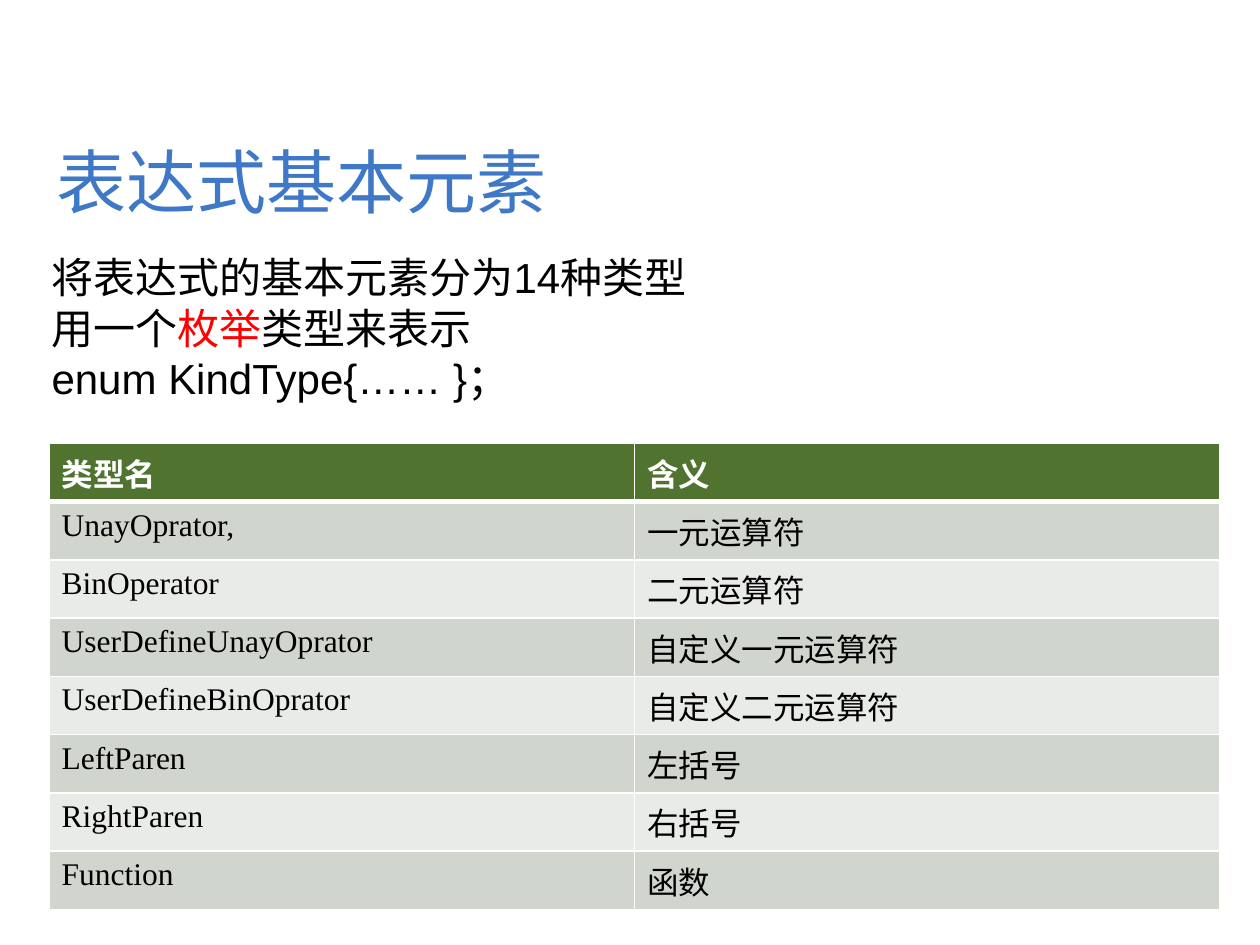
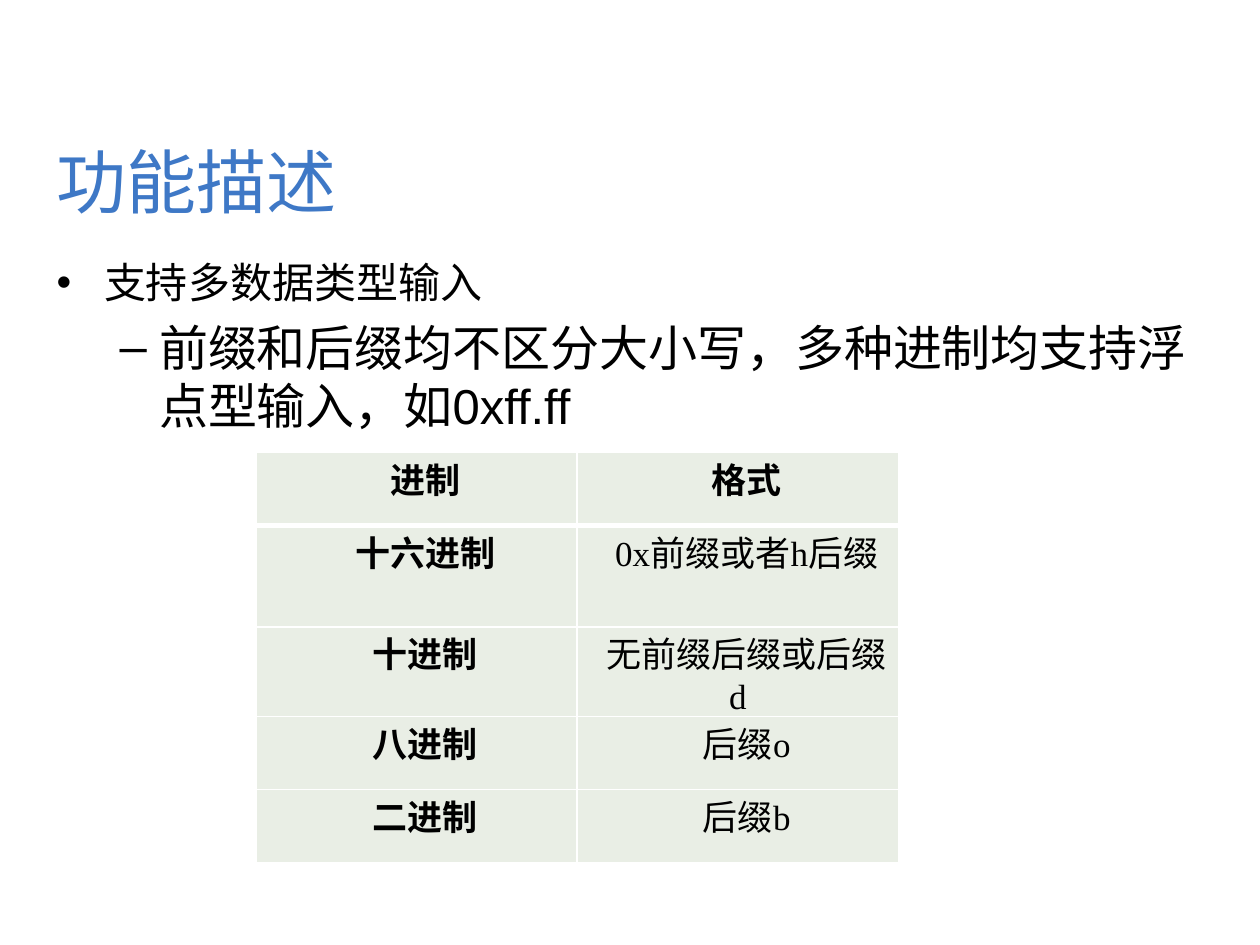
"""Build two slides on expression element types and number input formats."""
import pptx
import pptx.dml.color
import pptx.enum.text
import pptx.oxml
import pptx.oxml.ns
import pptx.util

Cm, Pt = pptx.util.Cm, pptx.util.Pt
PP_ALIGN = pptx.enum.text.PP_ALIGN
RGB = pptx.dml.color.RGBColor.from_string
COLORS = {"title": "3E78C6", "text": "000000", "accent": "FF0000", "white": "FFFFFF",
          "green": "50742F", "odd": "D0D6CD", "even": "E9EBE8"}
NS = pptx.oxml.ns.nsdecls("a")


def set_font(font, size, color="text", name="Arial", bold=False):
    font.size, font.name, font.bold = Pt(size), name, bold
    font.color.rgb = RGB(COLORS[color])


def add_grid(s, rows, left, top, width, heights):
    shape = s.shapes.add_table(len(rows), 2, Cm(left), Cm(top), Cm(width), Cm(sum(heights)))
    table = shape.table
    for i, (row, height) in enumerate(zip(rows, heights)):
        table.rows[i].height = Cm(height)
        for j, text in enumerate(row):
            cell = table.cell(i, j)
            cell.text = text
            cell.fill.solid()
            tcPr = cell._tc.get_or_add_tcPr()
            for k, side in enumerate("LRTB"):
                line = 3 if (i, side) in ((0, "B"), (1, "T")) else 1
                tcPr.insert(k, pptx.oxml.parse_xml(
                    f'<a:ln{side} {NS} w="{Pt(line)}"><a:solidFill>'
                    f'<a:srgbClr val="{COLORS["white"]}"/></a:solidFill></a:ln{side}>'))
    return table


prs = pptx.Presentation()
prs.slide_width, prs.slide_height = Cm(25.4), Cm(19.05)

slides = []
for title, layout in (("表达式基本元素", 5), ("功能描述", 1)):
    s = prs.slides.add_slide(prs.slide_layouts[layout])
    sp = s.shapes.title
    sp.left, sp.top, sp.width, sp.height = Cm(0.89), Cm(2.39), Cm(23.6), Cm(2.49)
    sp.text_frame.text = title
    p = sp.text_frame.paragraphs[0]
    p.alignment = PP_ALIGN.LEFT
    set_font(p.font, 40, "title")
    slides.append(s)
elements, features = slides

kinds = [
    ("类型名", "含义"),
    ("UnayOprator,", "一元运算符"),
    ("BinOperator", "二元运算符"),
    ("UserDefineUnayOprator", "自定义一元运算符"),
    ("UserDefineBinOprator", "自定义二元运算符"),
    ("LeftParen", "左括号"),
    ("RightParen", "右括号"),
    ("Function", "函数"),
]
table = add_grid(elements, kinds, 0.99, 8.94, 23.6, [0.43] + [1.04] * 7)
for i, row in enumerate(table.rows):
    fill = "green" if i == 0 else "odd" if i % 2 else "even"
    for cell in row.cells:
        cell.fill.fore_color.rgb = RGB(COLORS[fill])
        set_font(cell.text_frame.paragraphs[0].font, 18, "text" if i else "white",
                 "Times New Roman", i == 0)

tf = elements.shapes.add_textbox(Cm(0.79), Cm(4.95), Cm(23.01), Cm(4.11)).text_frame
tf.word_wrap = True
intro = [["将表达式的基本元素分为14种类型"], ["用一个", "枚举", "类型来表示"],
         ["enum KindType{…… }；"]]
for i, parts in enumerate(intro):
    p = tf.add_paragraph() if i else tf.paragraphs[0]
    set_font(p.font, 24)
    for part in parts:
        r = p.add_run()
        r.text = part
        set_font(r.font, 24, "accent" if part == "枚举" else "text")

sp = features.placeholders[1]
sp.left, sp.top, sp.width, sp.height = Cm(0.89), Cm(5.05), Cm(23.6), Cm(11.96)
tf = sp.text_frame
tf.auto_size = pptx.enum.text.MSO_AUTO_SIZE.NONE
tf.text = "支持多数据类型输入\n前缀和后缀均不区分大小写，多种进制均支持浮点型输入，如0xff.ff"
for level, (p, size) in enumerate(zip(tf.paragraphs, (24, 28))):
    p.level = level
    set_font(p.font, size)

formats = [
    ("进制", "格式"),
    ("十六进制", "0x前缀或者h后缀"),
    ("十进制", "无前缀后缀或后缀d"),
    ("八进制", "后缀o"),
    ("二进制", "后缀b"),
]
table = add_grid(features, formats, 5.16, 9.12, 12.95, [1.47, 1.73, 1.73, 1.47, 1.47])
for i, row in enumerate(table.rows):
    for j, cell in enumerate(row.cells):
        cell.fill.fore_color.rgb = RGB(COLORS["green"])
        tint = cell._tc.tcPr.find(pptx.oxml.ns.qn("a:solidFill"))[0]
        tint.append(pptx.oxml.parse_xml(f'<a:alpha {NS} val="12000"/>'))
        cell.margin_left = cell.margin_right = Cm(0.18)
        cell.margin_top = cell.margin_bottom = 0
        p = cell.text_frame.paragraphs[0]
        p.alignment = PP_ALIGN.CENTER
        p.space_after = Pt(6)
        p._p.get_or_add_pPr().set("indent", str(Cm(0.36)))
        set_font(p.font, 20, "text", "Times New Roman", i == 0 or j == 0)

prs.save("out.pptx")
